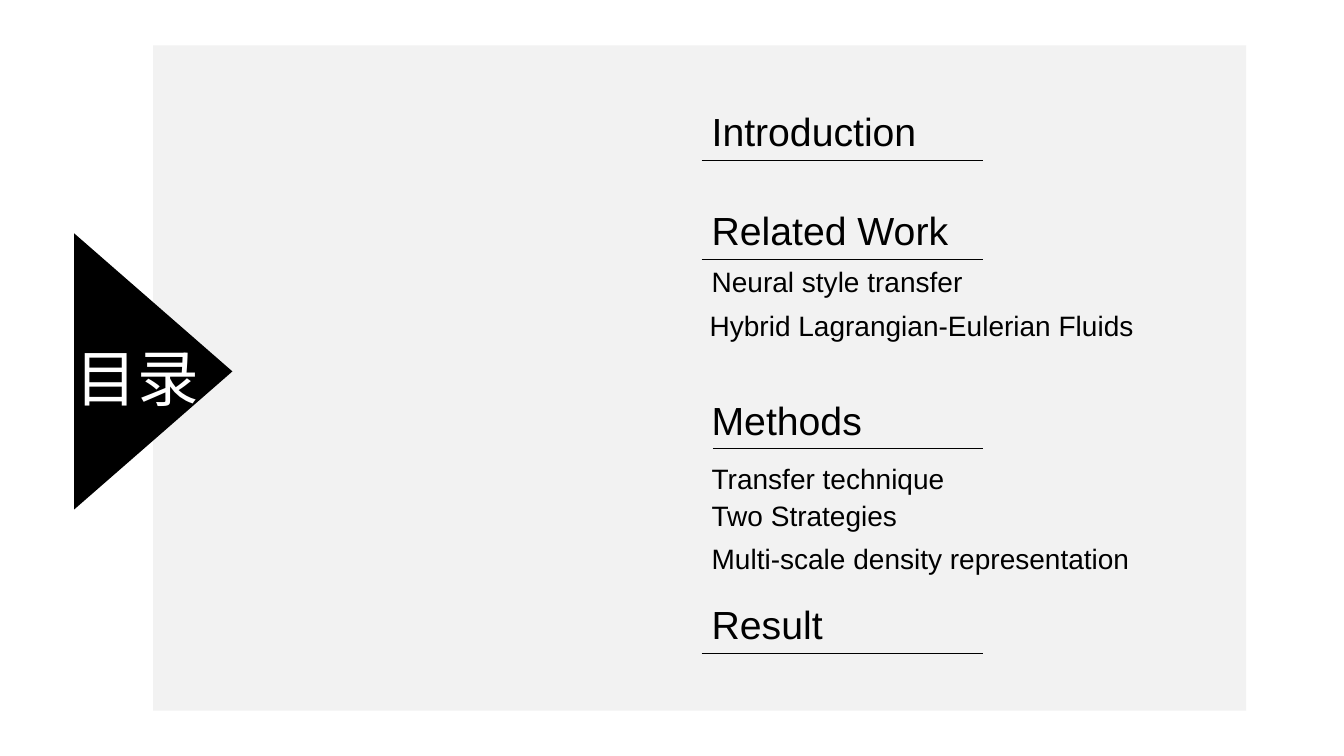
"""Build the table-of-contents slide with python-pptx."""
from lxml import etree
from pptx import Presentation
from pptx.dml.color import RGBColor
from pptx.enum.shapes import MSO_CONNECTOR, MSO_SHAPE
from pptx.enum.text import MSO_AUTO_SIZE
from pptx.oxml.ns import qn
from pptx.util import Inches, Pt

RECT, TRIANGLE = MSO_SHAPE.RECTANGLE, MSO_SHAPE.ISOSCELES_TRIANGLE
STRAIGHT = MSO_CONNECTOR.STRAIGHT
FIT = MSO_AUTO_SIZE.SHAPE_TO_FIT_TEXT

BLACK, WHITE, PANEL = "000000", "FFFFFF", "F2F2F2"
LATIN, CJK = "Arial", "Noto Sans CJK SC"
LEFT, RULE_RIGHT = 6.96, 9.75
HEAD_H, ITEM_H = 0.57, 0.44

TITLE = "目录"
SECTIONS = [
    ("Introduction", 1.02, LEFT, []),
    ("Related Work", 2.0, LEFT, [
        ("Neural style transfer", LEFT, 2.57, 5.04),
        ("Hybrid Lagrangian-Eulerian Fluids", 6.94, 3.01, 5.04),
    ]),
    ("Methods", 3.88, 7.07, [
        ("Transfer technique", LEFT, 4.53, 5.04),
        ("Two Strategies", LEFT, 4.9, 5.04),
        ("Multi-scale density representation", LEFT, 5.32, 5.94),
    ]),
    ("Result", 5.91, LEFT, []),
]


def rgb(value):
    return RGBColor.from_string(value)


def add_block(shapes, kind, box, color):
    sp = shapes.add_shape(kind, *map(Inches, box))
    sp.shadow.inherit = False
    sp.fill.solid()
    sp.fill.fore_color.rgb = rgb(color)
    sp.line.fill.background()
    return sp


def add_text(shapes, text, box, size, font=LATIN, color=BLACK):
    tf = shapes.add_textbox(*map(Inches, box)).text_frame
    tf.word_wrap = True
    tf.auto_size = FIT
    tf.text = text
    p = tf.paragraphs[0]
    r = p.runs[0]
    r.font.size = Pt(size)
    r.font.color.rgb = rgb(color)
    r.font.name = font
    etree.SubElement(r._r.get_or_add_rPr(), qn("a:ea")).set("typeface", font)
    return p


def add_rule(shapes, left, y):
    line = shapes.add_connector(
        STRAIGHT, Inches(left), Inches(y), Inches(RULE_RIGHT), Inches(y))
    line.line.color.rgb = rgb(BLACK)
    line.line.width = Pt(0.5)
    etree.SubElement(line._element.spPr, qn("a:effectLst"))


def main():
    prs = Presentation()
    prs.slide_width, prs.slide_height = Inches(13.33), Inches(7.5)
    s = prs.slides.add_slide(prs.slide_layouts[6])

    add_block(s.shapes, RECT, (1.52, 0.45, 10.84, 6.6), PANEL)
    pointer = add_block(s.shapes, TRIANGLE, (0.15, 2.9, 2.74, 1.57), BLACK)
    pointer.rotation = 90
    p = add_text(s.shapes, TITLE, (0.65, 3.18, 2.99, 0.91), 44, CJK, WHITE)
    p.line_spacing = 1.2

    for heading, top, rule_left, items in SECTIONS:
        shapes = s.shapes.add_group_shape().shapes
        add_text(shapes, heading, (LEFT, top, RULE_RIGHT - LEFT, HEAD_H), 28)
        add_rule(shapes, rule_left, top + HEAD_H)
        for text, left, y, width in items:
            add_text(shapes, text, (left, y, width, ITEM_H), 20)

    prs.save("out.pptx")


if __name__ == "__main__":
    main()
